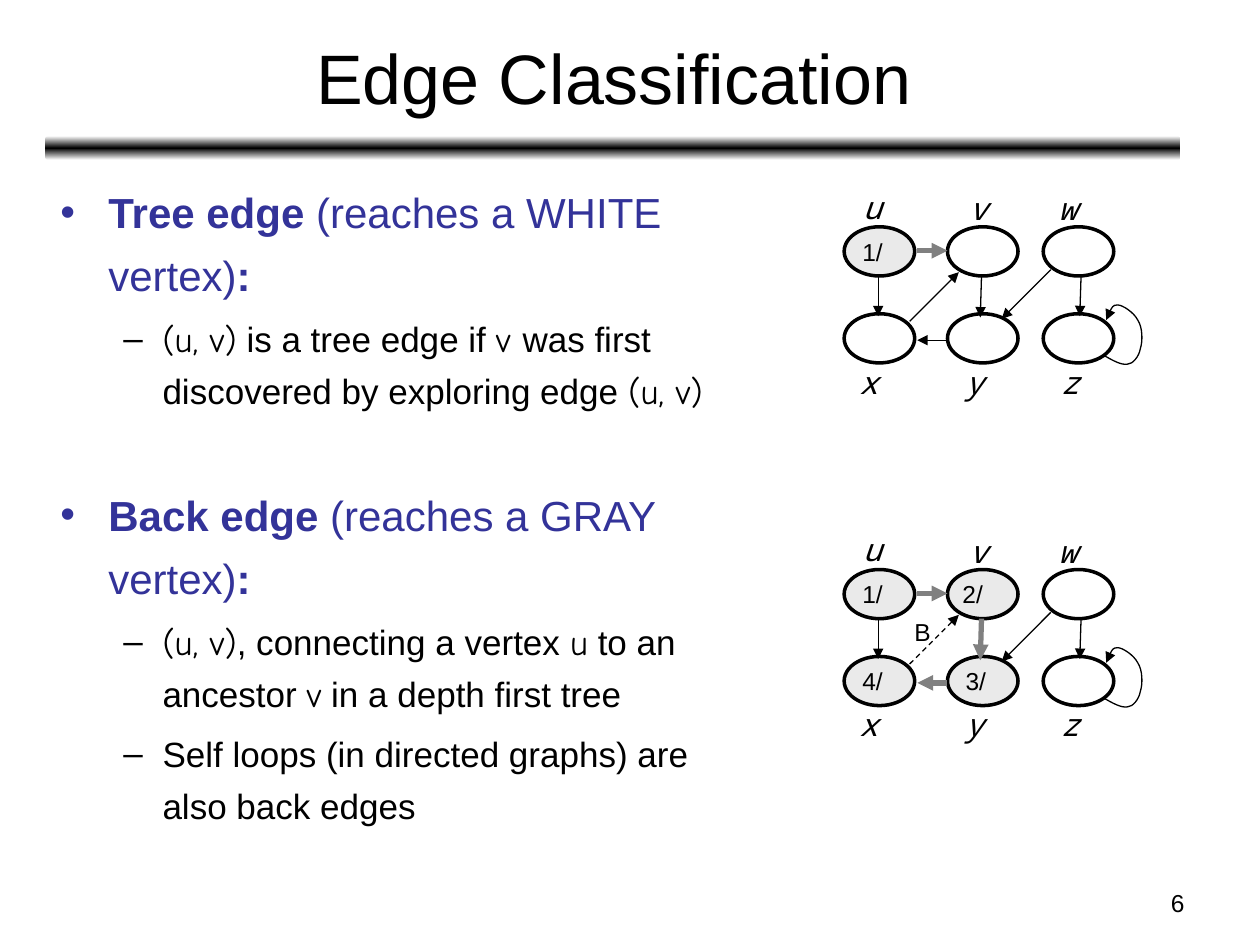
from copy import deepcopy

from lxml import etree
from pptx import Presentation
from pptx.dml.color import RGBColor
from pptx.enum.dml import MSO_LINE
from pptx.enum.shapes import MSO_CONNECTOR, MSO_SHAPE
from pptx.enum.text import MSO_ANCHOR, MSO_AUTO_SIZE, PP_ALIGN
from pptx.oxml.ns import qn
from pptx.util import Inches, Pt

CENTER, RIGHT = PP_ALIGN.CENTER, PP_ALIGN.RIGHT
MIDDLE = MSO_ANCHOR.MIDDLE
OVAL, BAR = MSO_SHAPE.OVAL, MSO_SHAPE.ROUNDED_RECTANGLE
STRAIGHT, DASH = MSO_CONNECTOR.STRAIGHT, MSO_LINE.DASH
FIT, FIXED = MSO_AUTO_SIZE.SHAPE_TO_FIT_TEXT, MSO_AUTO_SIZE.NONE

BLACK, WHITE, GRAY, PALE, BLUE = "000000", "FFFFFF", "808080", "EAEAEA", "333399"
SANS, HAND, MONO = "Arial", "Comic Neue", "Noto Sans Mono"

COLUMNS = (6.7, 7.52, 8.28)
ROW_STEP = 0.69
NODE_WIDTH, NODE_HEIGHT = 0.56, 0.39
NODES = {name: (COLUMNS[index % 3], index // 3 * ROW_STEP)
         for index, name in enumerate("uvwxyz")}
NAMES = {"u": (6.75, -0.36), "v": (7.59, -0.35), "w": (8.3, -0.35),
         "x": (6.72, 1.03), "y": (7.56, 1.03), "z": (8.32, 1.03)}
EDGES = {"ux": (6.97, 0.39, 6.97, 0.71), "vy": (7.79, 0.39, 7.78, 0.72),
         "wz": (8.58, 0.39, 8.57, 0.71), "uv": (7.28, 0.19, 7.52, 0.19),
         "yx": (7.52, 0.9, 7.28, 0.9), "wy": (8.34, 0.34, 7.95, 0.73),
         "xv": (7.22, 0.75, 7.61, 0.36)}
LOOP = ((8.76, 1.02), (8.83, 1.06), (8.9, 1.1), (8.95, 1.09),
        (8.99, 1.09), (9.04, 1.03), (9.05, 0.97), (9.07, 0.91),
        (9.07, 0.8), (9.03, 0.74), (9, 0.68), (8.91, 0.62),
        (8.87, 0.62), (8.83, 0.62), (8.8, 0.68), (8.78, 0.74))

BULLETS = (
    (0, 0, (("Tree edge ", "strong"), ("(reaches a WHITE vertex)", "head"),
            (":", "strong"))),
    (1, 4, (("(u, v)", "hand"), (" is a tree edge if ", "plain"), ("v ", "hand"),
            ("was first discovered by exploring edge ", "plain"),
            ("(u, v)", "hand"))),
    (0, 37, (("Back edge ", "strong"), ("(reaches a GRAY vertex)", "head"),
             (":", "strong"))),
    (1, 4, (("(u, v)", "hand"), (", connecting a vertex ", "plain"), ("u", "hand"),
            (" to an ancestor ", "plain"), ("v", "hand"),
            (" in a depth first tree", "plain"))),
    (1, 4, (("Self loops (in directed graphs) are also back edges", "plain"),)),
)
STYLES = {"strong": dict(size=24, color=BLUE, bold=True),
          "head": dict(size=24, color=BLUE),
          "hand": dict(size=20, font=HAND),
          "plain": dict(size=20)}
LEVELS = (("•", 0.38, -0.38), ("–", 0.81, -0.31))


def rgb(value):
    """Turn a hex string into a colour."""
    return RGBColor.from_string(value)


def inches(*values):
    """Turn numbers of inches into lengths."""
    return [Inches(value) for value in values]


def add_text(para, text, size=14, font=SANS, color=BLACK, bold=False, italic=False):
    """Add a formatted run to a paragraph."""
    span = para.add_run()
    span.text = text
    span.font.size, span.font.name = Pt(size), font
    span.font.bold, span.font.italic = bold, italic
    span.font.color.rgb = rgb(color)


def add_label(shapes, text, left, top, width, height, align=None, fit=True, **style):
    """Add a one-line text box."""
    box = shapes.add_textbox(*inches(left, top, width, height))
    frame = box.text_frame
    frame.word_wrap = not fit
    frame.auto_size = FIT if fit else FIXED
    frame.paragraphs[0].alignment = align
    add_text(frame.paragraphs[0], text, **style)


def style_line(shape, color, width, dash=None, arrow=True):
    """Format an outline and, if wanted, put an arrowhead at its end."""
    shape.line.color.rgb = rgb(color)
    shape.line.width = Pt(width)
    if dash:
        shape.line.dash_style = dash
    if arrow:
        outline = shape._element.spPr.find(qn("a:ln"))
        etree.SubElement(outline, qn("a:tailEnd"), type="triangle")


def add_node(shapes, left, top, text="", inset=0.11):
    """Add a vertex, shaded and numbered once it is discovered."""
    node = shapes.add_shape(OVAL, *inches(left, top, NODE_WIDTH, NODE_HEIGHT))
    node.shadow.inherit = False
    style_line(node, BLACK, 2, arrow=False)
    if not text:
        node.fill.background()
        return
    node.fill.solid()
    node.fill.fore_color.rgb = rgb(PALE)
    frame = node.text_frame
    frame.word_wrap, frame.vertical_anchor = False, MIDDLE
    frame.margin_left, frame.margin_right = inches(0, inset)
    frame.margin_top = frame.margin_bottom = 0
    frame.paragraphs[0].alignment = CENTER
    add_text(frame.paragraphs[0], text)


def add_edge(shapes, ends, strong=False, dash=None):
    """Add a straight arrow between two vertices."""
    edge = shapes.add_connector(STRAIGHT, *inches(*ends))
    style_line(edge, GRAY if strong else BLACK, 3 if strong else 0.75, dash)
    etree.SubElement(edge._element.spPr, qn("a:effectLst"))


def add_loop(shapes, top):
    """Add the curved arrow from z to itself."""
    points = [inches(x, top + y) for x, y in LOOP]
    builder = shapes.build_freeform(*points[0], scale=1.0)
    builder.add_line_segments(points[1:], close=False)
    loop = builder.convert_to_shape()
    outline = loop._element.spPr.find(".//" + qn("a:path"))
    steps = outline.findall(qn("a:lnTo"))
    for start in range(0, len(steps), 3):
        curve = etree.SubElement(outline, qn("a:cubicBezTo"))
        for step in steps[start:start + 3]:
            curve.append(step[0])
            outline.remove(step)
    loop.shadow.inherit = False
    loop.fill.background()
    style_line(loop, BLACK, 0.75)


def add_graph(page, top, times, tree, back=""):
    """Add the six-vertex graph at one stage of the search."""
    shapes = page.shapes.add_group_shape().shapes
    for name, (left, down) in NODES.items():
        inset = 0.16 if name == "v" else 0.11
        add_node(shapes, left, top + down, times.get(name, ""), inset)
    for name, (left, down) in NAMES.items():
        add_label(shapes, name, left, top + down, 0.37 if name == "w" else 0.31, 0.4,
                  size=18, font=MONO, italic=True)
    for name, (x1, y1, x2, y2) in EDGES.items():
        add_edge(shapes, (x1, top + y1, x2, top + y2), name in tree,
                 DASH if name == back else None)
    add_loop(shapes, top)
    if back:
        add_label(shapes, "B", 7.16, top + 0.33, 0.33, 0.33)


def add_rule(page):
    """Add the shaded bar below the title."""
    bar = page.shapes.add_shape(BAR, *inches(0.36, 1.08, 9.01, 0.19))
    bar.shadow.inherit = False
    bar.line.fill.background()
    bar.fill.gradient()
    bar.fill.gradient_angle = 90
    stops = bar._element.spPr.find(".//" + qn("a:gsLst"))
    stops.insert(1, deepcopy(stops[0]))
    for stop, color, place in zip(bar.fill.gradient_stops, (WHITE, BLACK, WHITE),
                                  (0, 0.5, 1)):
        stop.color.rgb = rgb(color)
        stop.position = place


def place(holder, *area):
    """Move a placeholder and return its text frame."""
    holder.left, holder.top, holder.width, holder.height = inches(*area)
    holder.text_frame.auto_size = FIXED
    return holder.text_frame


def fill_body(frame):
    """Write the two-level bullet list."""
    for index, (level, before, spans) in enumerate(BULLETS):
        para = frame.add_paragraph() if index else frame.paragraphs[0]
        para.level, para.line_spacing, para.space_before = level, 1.25, Pt(before)
        mark, margin, indent = LEVELS[level]
        props = para._p.get_or_add_pPr()
        props.set("marL", str(Inches(margin)))
        props.set("indent", str(Inches(indent)))
        etree.SubElement(props, qn("a:buFont"), typeface=SANS)
        etree.SubElement(props, qn("a:buChar"), char=mark)
        for text, style in spans:
            add_text(para, text, **STYLES[style])


def main():
    """Build the slide and save the deck."""
    deck = Presentation()
    deck.slide_width, deck.slide_height = inches(10, 7.5)
    page = deck.slides.add_slide(deck.slide_layouts[1])
    add_rule(page)
    title = place(page.shapes.title, 0.37, 0.11, 9, 0.99)
    title.vertical_anchor = MIDDLE
    title.paragraphs[0].alignment = CENTER
    add_text(title.paragraphs[0], "Edge Classification", size=40)
    fill_body(place(page.placeholders[1], 0.38, 1.33, 5.52, 5.86))
    add_graph(page, 1.8, {"u": "1/"}, {"uv"})
    add_graph(page, 4.52, {"u": "1/", "v": "2/", "x": "4/", "y": "3/"},
              {"uv", "vy", "yx"}, back="xv")
    add_label(page.shapes, "6", 7.17, 7, 2.33, 0.35, align=RIGHT, fit=False)
    deck.save("out.pptx")


if __name__ == "__main__":
    main()
